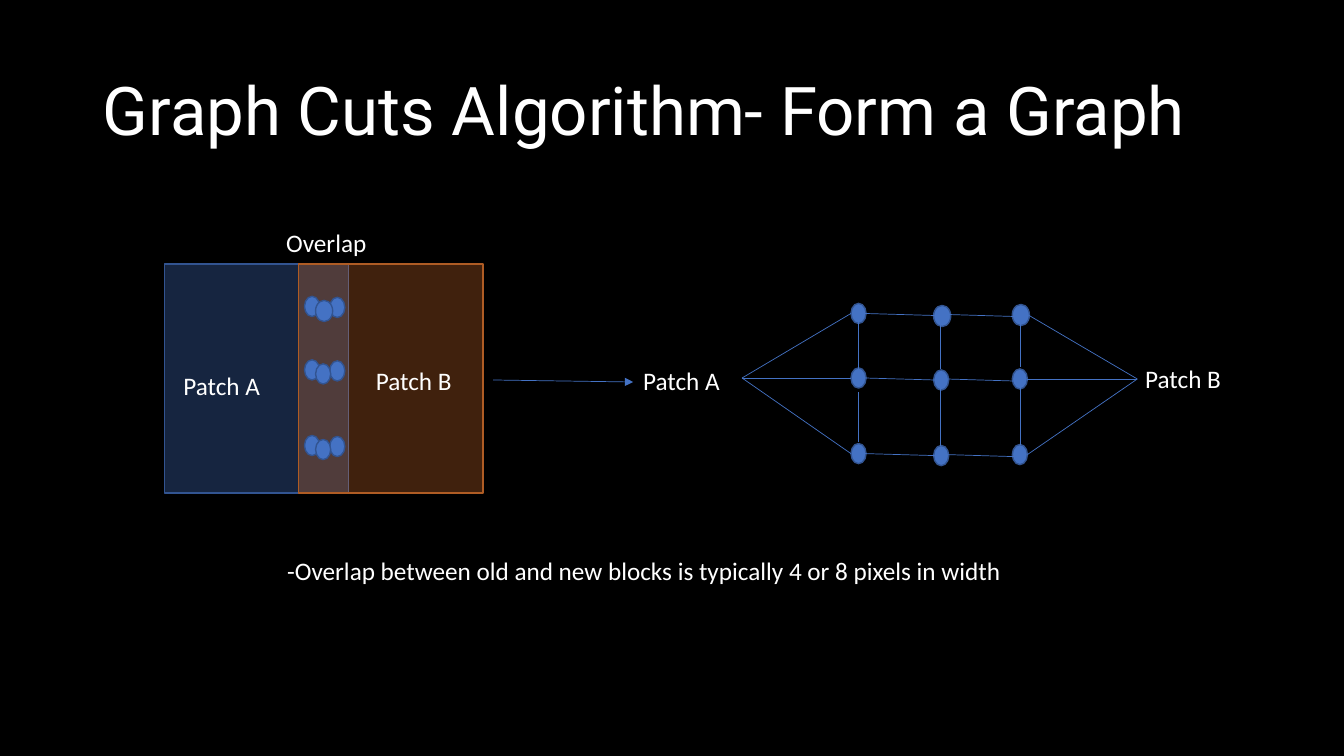
"""Build the slide on forming a graph from two overlapping patches."""
from dataclasses import dataclass

from pptx import Presentation
from pptx.dml.color import RGBColor as Rgb
from pptx.enum.shapes import MSO_CONNECTOR as Connector, MSO_SHAPE as Shape
from pptx.enum.text import MSO_ANCHOR as Anchor, MSO_AUTO_SIZE as AutoSize, PP_ALIGN as Align
from pptx.oxml.ns import qn
from pptx.oxml.xmlchemy import OxmlElement as Element
from pptx.util import Inches, Pt


@dataclass(frozen=True)
class Theme:
    """Colours, fonts and sizes of the slide."""
    background: str = "000000"
    text: str = "FFFFFF"
    blue: str = "4472C4"
    blue_edge: str = "325491"
    orange: str = "ED7D31"
    orange_edge: str = "AF5C24"
    title_font: str = "Roboto"
    body_font: str = "Calibri"
    title_size: int = 48
    body_size: int = 18
    outline: float = 1
    thin: float = 0.5


class GraphSlide:
    """Draw elements on a grid whose columns and rows are a tenth of an inch."""

    def __init__(self, theme):
        """Open a title-only slide with the theme's background."""
        self.theme = theme
        self.deck = Presentation()
        self.deck.slide_width, self.deck.slide_height = self.grid(133.3, 75)
        self.slide = self.deck.slides.add_slide(self.deck.slide_layouts[5])
        backdrop = self.slide.background.fill
        backdrop.solid()
        backdrop.fore_color.rgb = Rgb.from_string(theme.background)

    @staticmethod
    def grid(*cells):
        """Turn grid cells into lengths."""
        return [Inches(cell / 10) for cell in cells]

    def style(self, paragraph, font, size):
        """Format the runs of a paragraph."""
        paragraph.alignment = Align.LEFT
        for run in paragraph.runs:
            run.font.name = font
            run.font.size = Pt(size)
            run.font.color.rgb = Rgb.from_string(self.theme.text)

    def title(self, wording, *box):
        """Place and fill the title placeholder."""
        heading = self.slide.shapes.title
        heading.left, heading.top, heading.width, heading.height = self.grid(*box)
        frame = heading.text_frame
        frame.text = wording
        frame.auto_size = AutoSize.NONE
        frame.vertical_anchor = Anchor.MIDDLE
        frame.paragraphs[0].line_spacing = 0.9
        self.style(frame.paragraphs[0], self.theme.title_font, self.theme.title_size)

    def label(self, wording, left, top, width, wrap=True):
        """Add a one-line label."""
        frame = self.slide.shapes.add_textbox(*self.grid(left, top, width, 4)).text_frame
        frame.text = wording
        frame.word_wrap = wrap
        frame.auto_size = AutoSize.SHAPE_TO_FIT_TEXT
        self.style(frame.paragraphs[0], self.theme.body_font, self.theme.body_size)

    def figure(self, kind, box, colour, edge, opacity=100):
        """Add a filled and outlined shape."""
        figure = self.slide.shapes.add_shape(kind, *self.grid(*box))
        figure.shadow.inherit = False
        figure.fill.solid()
        figure.fill.fore_color.rgb = Rgb.from_string(colour)
        if opacity < 100:
            alpha = Element("a:alpha")
            alpha.set("val", str(opacity * 1000))
            next(figure._element.spPr.iter(qn("a:srgbClr"))).append(alpha)
        figure.line.color.rgb = Rgb.from_string(edge)
        figure.line.width = Pt(self.theme.outline)

    def patch(self, left, colour, edge, opacity):
        """Add a translucent image patch."""
        self.figure(Shape.RECTANGLE, (left, 26.2, 18.3, 22.7), colour, edge, opacity)

    def pixel(self, left, top, large=False):
        """Add a pixel node."""
        size = (1.7, 2.1) if large else (1.5, 2)
        self.figure(Shape.OVAL, (left, top, *size), self.theme.blue, self.theme.blue_edge)

    def edge(self, start, end, arrow=False):
        """Add a thin line, with an arrowhead at its end if asked."""
        line = self.slide.shapes.add_connector(
            Connector.STRAIGHT, *self.grid(*start, *end))
        line.line.color.rgb = Rgb.from_string(self.theme.blue)
        line.line.width = Pt(self.theme.thin)
        if arrow:
            head = Element("a:tailEnd")
            head.set("type", "triangle")
            line.line._get_or_add_ln().append(head)
        line._element.spPr.append(Element("a:effectLst"))


def main():
    """Draw the slide and save it."""
    theme = Theme()
    page = GraphSlide(theme)
    page.title("Graph Cuts Algorithm- Form a Graph", 9.2, 4, 115, 14.5)

    page.patch(16.3, theme.blue, theme.blue_edge, 33)
    page.patch(29.6, theme.orange, theme.orange_edge, 27)
    page.label("Overlap", 27.4, 22.1, 17.4)

    pixel_rows = (29.4, 35.7, 43.2)
    for row, top in enumerate(pixel_rows):
        for left, drop, middle in ((30.2, 0, False), (32.7, 0.1, False), (31.3, 0.4, True)):
            page.pixel(left, top + drop, large=middle and row == 0)

    node_rows = (30.1, 36.5, 44)
    for row, top in enumerate(node_rows):
        for column, (left, drop) in enumerate(((84.4, 0), (92.6, 0.2), (100.4, 0.1))):
            page.pixel(left, top + drop, large=row == 0 and column > 0)
        middle = top + 1
        page.edge((84.4, middle), (73.6, 37.5))
        page.edge((92.7, middle + 0.2), (85.8, middle))
        page.edge((100.6, middle + 0.3), (93.9, middle + 0.1))
        page.edge((112.8, 37.6), (101.9, middle + 0.1))

    column_spans = {
        85.1: ((31.8, 36.8), (38.9, 43.9)),
        93.3: ((31.6, 36.6), (38.4, 44.2)),
        101.2: ((31.5, 36.4), (38, 44.1)),
    }
    for across, spans in column_spans.items():
        for upper, lower in spans:
            page.edge((across, upper), (across, lower))

    page.label("Patch A", 17.2, 36.2, 10.5)
    page.label("Patch B", 36.3, 35.8, 10.5)
    page.label("Patch A", 62.8, 35.8, 10.5)
    page.label("Patch B", 112.6, 35.6, 10.5)
    page.edge((48.9, 37.7), (62.8, 37.9), arrow=True)
    page.label("-Overlap between old and new blocks is typically 4 or 8 pixels in width",
               27.5, 54.6, 73.7, wrap=False)
    page.deck.save("out.pptx")


if __name__ == "__main__":
    main()
